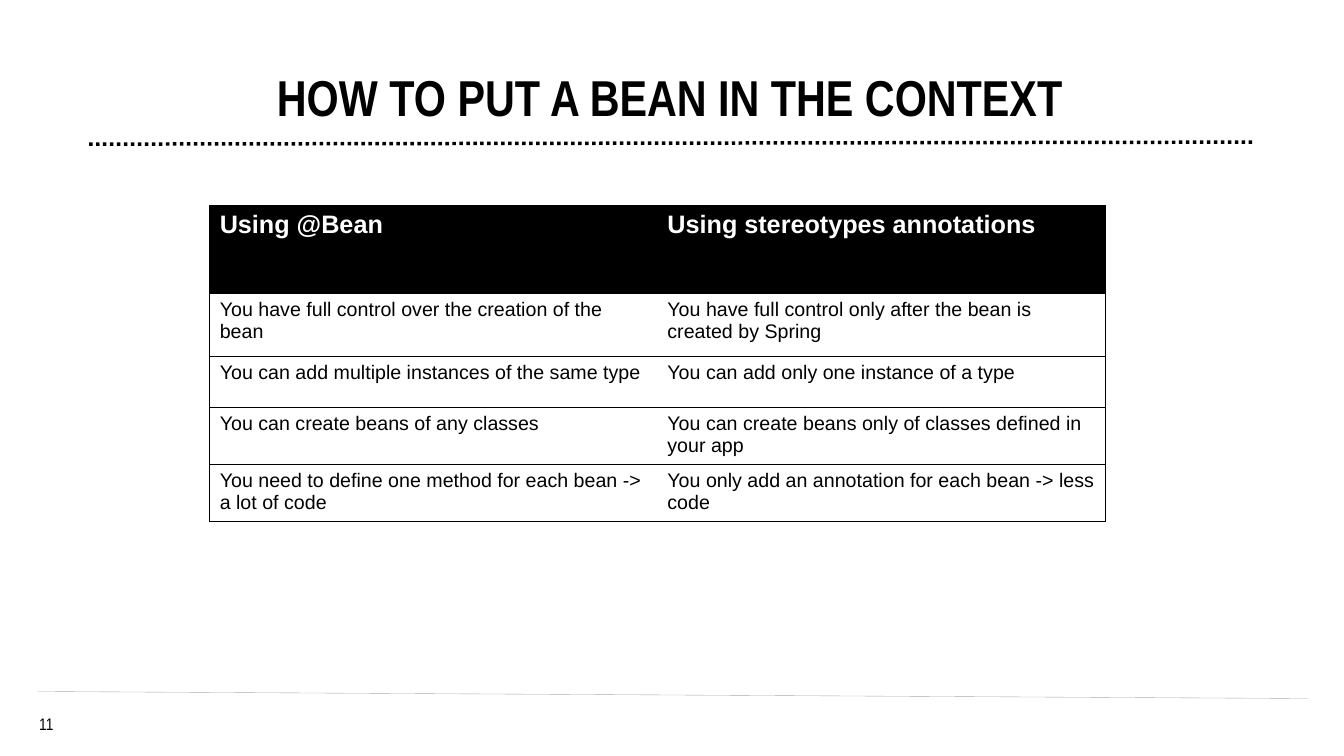
import pptx
import pptx.util
import pptx.dml.color
import pptx.enum.dml
import pptx.enum.shapes
import pptx.enum.text
import pptx.oxml
import pptx.oxml.ns
from lxml import etree

Inches = pptx.util.Inches
Pt = pptx.util.Pt
BLACK = pptx.dml.color.RGBColor(0x00, 0x00, 0x00)
WHITE = pptx.dml.color.RGBColor(0xFF, 0xFF, 0xFF)
GRAY = pptx.dml.color.RGBColor(0xA6, 0xAA, 0xA9)
CENTER = pptx.enum.text.PP_ALIGN.CENTER


def style(paragraph, font_name, size, color, bold=False):
    paragraph.font.name = font_name
    paragraph.font.size = Pt(size)
    paragraph.font.color.rgb = color
    paragraph.font.bold = bold


def add_border(cell, index, side, visible):
    paint = f'<a:solidFill><a:srgbClr val="{BLACK}"/></a:solidFill>' if visible else "<a:noFill/>"
    border = pptx.oxml.parse_xml(
        f'<a:{side} {pptx.oxml.ns.nsdecls("a")} w="{Pt(0.5)}">{paint}</a:{side}>'
    )
    cell._tc.get_or_add_tcPr().insert(index, border)


presentation = pptx.Presentation()
presentation.slide_width = Inches(13.33)
presentation.slide_height = Inches(7.5)
slide = presentation.slides.add_slide(presentation.slide_layouts[5])

rules = [
    (0.37, 6.86, 12.98, 6.93, GRAY, 0.25, None),
    (12.42, 1.41, 0.88, 1.43, BLACK, 2.5, pptx.enum.dml.MSO_LINE.ROUND_DOT),
]
for x1, y1, x2, y2, color, width, dash in rules:
    rule = slide.shapes.add_connector(
        pptx.enum.shapes.MSO_CONNECTOR.STRAIGHT, Inches(x1), Inches(y1), Inches(x2), Inches(y2)
    )
    rule.line.color.rgb = color
    rule.line.width = Pt(width)
    rule.line.dash_style = dash
    etree.SubElement(rule._element.spPr, pptx.oxml.ns.qn("a:effectLst"))

page_number = slide.shapes.add_textbox(Inches(0.22), Inches(7.08), Inches(0.48), Inches(0.2))
number_frame = page_number.text_frame
number_frame.word_wrap = True
number_frame.margin_left = number_frame.margin_right = 0
number_frame.margin_top = number_frame.margin_bottom = 0
number_frame.text = "11"
number_frame.paragraphs[0].alignment = CENTER
style(number_frame.paragraphs[0], "Arial Narrow", 12, BLACK)

title = slide.shapes.title
title.left, title.top = Inches(1.32), Inches(0.17)
title.width, title.height = Inches(10.75), Inches(1.12)
title_frame = title.text_frame
title_frame.text = "HOW TO PUT A BEAN IN THE CONTEXT"
title_frame.auto_size = pptx.enum.text.MSO_AUTO_SIZE.NONE
title_frame.vertical_anchor = pptx.enum.text.MSO_ANCHOR.BOTTOM
title_frame.margin_left = 0
title_frame.margin_right = Inches(0.1)
title_frame.margin_top = title_frame.margin_bottom = Inches(0.05)
title_frame.paragraphs[0].alignment = CENTER
title_frame.paragraphs[0].line_spacing = 0.7
style(title_frame.paragraphs[0], "Arial Narrow", 36, BLACK, True)

comparison = [
    (0.87, "Using @Bean", "Using stereotypes annotations"),
    (0.63, "You have full control over the creation of the bean",
     "You have full control only after the bean is created by Spring"),
    (0.5, "You can add multiple instances of the same type",
     "You can add only one instance of a type"),
    (0.56, "You can create beans of any classes",
     "You can create beans only of classes defined in your app"),
    (0.56, "You need to define one method for each bean -> a lot of code",
     "You only add an annotation for each bean -> less code"),
]
table = slide.shapes.add_table(
    len(comparison), 2, Inches(2.08), Inches(2.04), Inches(8.88), Inches(3.12)
).table
table.horz_banding = False

for row, (height, *texts) in enumerate(comparison):
    table.rows[row].height = Inches(height)
    for column, text in enumerate(texts):
        cell = table.cell(row, column)
        cell.text = text
        paragraph = cell.text_frame.paragraphs[0]
        if row == 0:
            cell.fill.solid()
            cell.fill.fore_color.rgb = BLACK
            style(paragraph, "Arial", 18, WHITE, True)
        else:
            cell.fill.background()
            style(paragraph, "Arial", 14, BLACK)
        borders = [("lnL", column == 0), ("lnR", column == 1), ("lnT", True), ("lnB", True)]
        for index, (side, visible) in enumerate(borders):
            add_border(cell, index, side, visible)

presentation.save("out.pptx")
